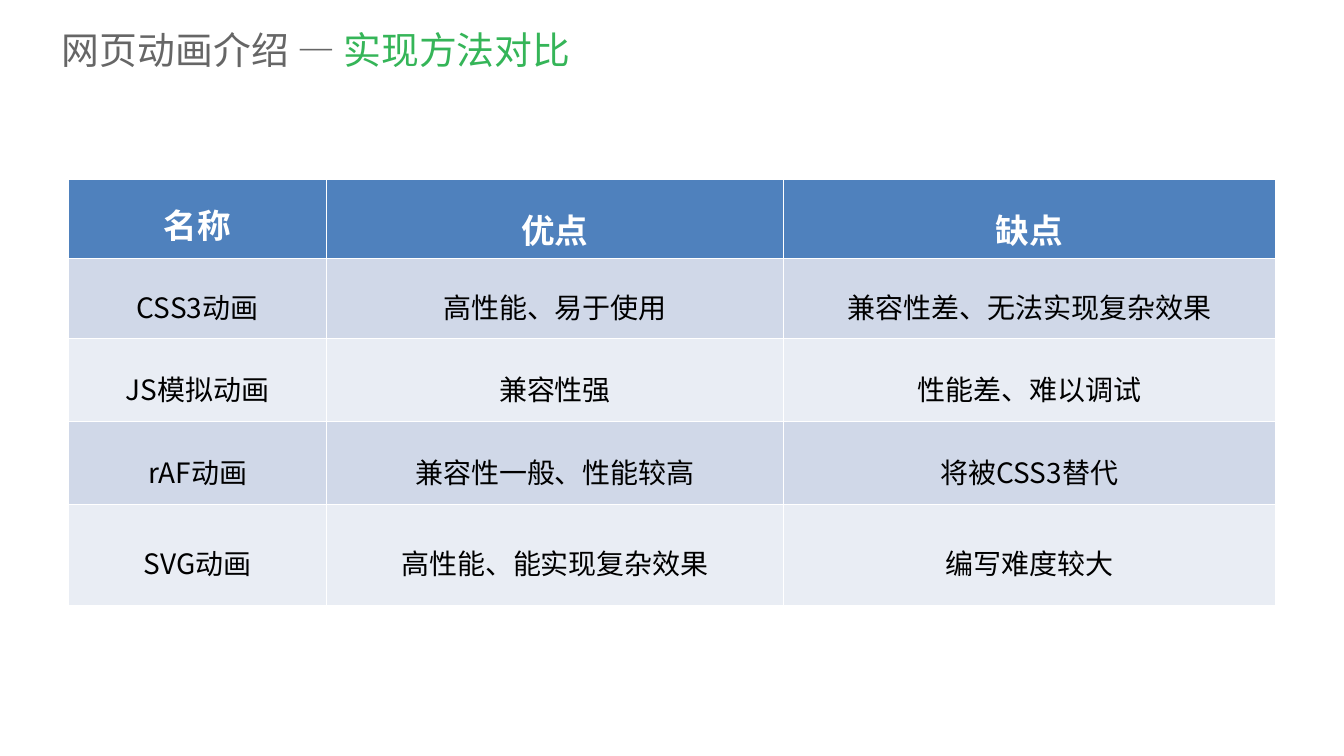
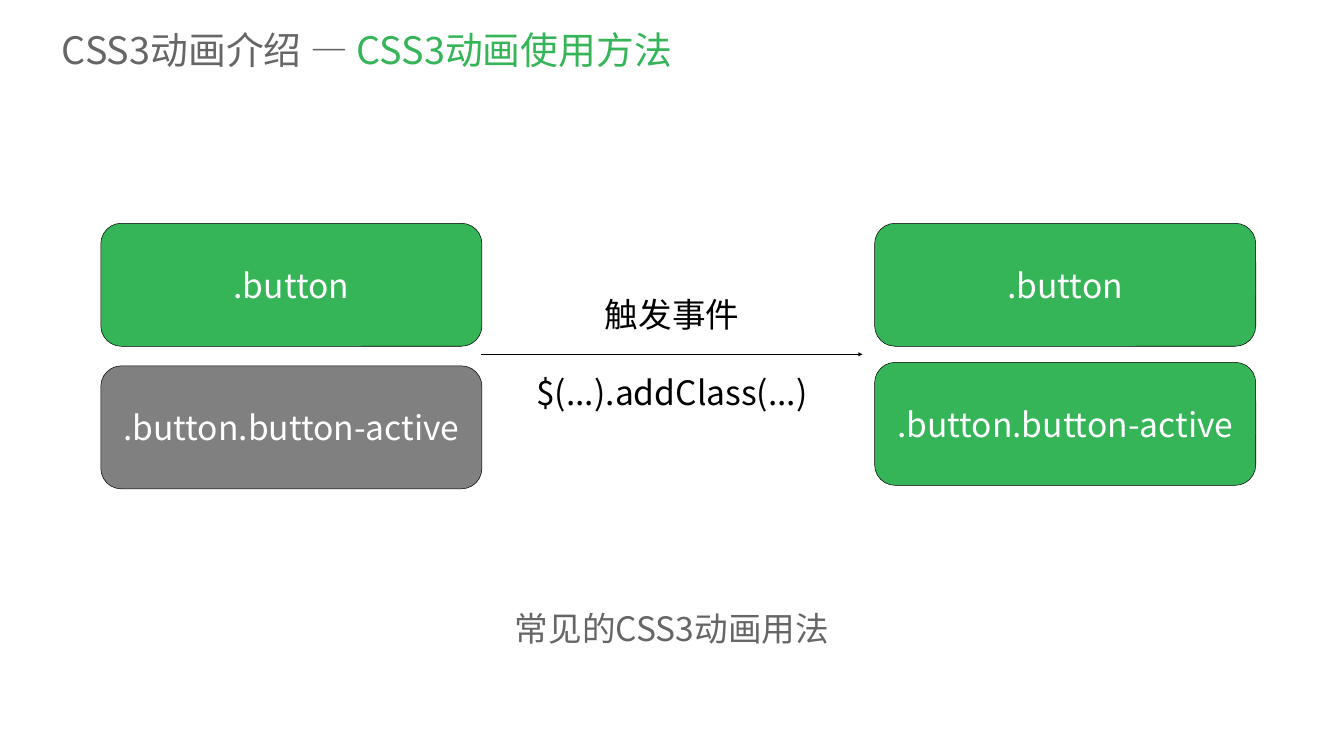
import pptx
import pptx.dml.color
import pptx.enum.shapes
import pptx.enum.text
import pptx.oxml
import pptx.oxml.ns
import pptx.util

Pt = pptx.util.Pt
CENTER = pptx.enum.text.PP_ALIGN.CENTER
MIDDLE = pptx.enum.text.MSO_ANCHOR.MIDDLE
FONT = "Noto Sans CJK SC"
GREEN, GRAY, TEXT_GRAY = "35B558", "808080", "666666"
BLACK, WHITE = "000000", "FFFFFF"
HEADER_BLUE, BANDS = "4F81BD", ("D0D8E8", "E9EDF4")
SLIDE_WIDTH, SLIDE_HEIGHT = 1919.52, 1080
BUTTON_WIDTH, BUTTON_HEIGHT = 544.3, 175.7

METHODS = [
    ("名称", "优点", "缺点"),
    ("CSS3动画", "高性能、易于使用", "兼容性差、无法实现复杂效果"),
    ("JS模拟动画", "兼容性强", "性能差、难以调试"),
    ("rAF动画", "兼容性一般、性能较高", "将被CSS3替代"),
    ("SVG动画", "高性能、能实现复杂效果", "编写难度较大"),
]
COLUMN_WIDTHS = (368.6, 652.3, 702.7)
ROW_HEIGHTS = (113, 113.8, 118.8, 118.8, 143.3)


def paint(color_format, color):
    """Give a fill, line or font colour its hex value."""
    color_format.rgb = pptx.dml.color.RGBColor.from_string(color)


def fill_solid(item, color):
    """Fill a shape or a cell with one colour."""
    item.fill.solid()
    paint(item.fill.fore_color, color)


def add_element(parent, tag, content="", attributes=""):
    """Append a drawing element to a parent and return it."""
    namespace = pptx.oxml.ns.nsdecls("a")
    element = pptx.oxml.parse_xml(f"<a:{tag} {namespace} {attributes}>{content}</a:{tag}>")
    parent.append(element)
    return element


def style_run(run, size, color, font=FONT, bold=False):
    """Set the size, colour and typefaces of a run."""
    run.font.size = Pt(size)
    run.font.bold = bold
    run.font.name = font
    paint(run.font.color, color)
    add_element(run.font._element, "ea", attributes=f'typeface="{font}"')


def write_centered(text_frame, text, size, color, font=FONT, bold=False):
    """Write one centred paragraph and return it."""
    text_frame.text = text
    paragraph = text_frame.paragraphs[0]
    paragraph.alignment = CENTER
    style_run(paragraph.runs[0], size, color, font, bold)
    return paragraph


def add_title(slide, topic, subject):
    """Add the title with a gray topic and a green subject."""
    title = slide.shapes.add_textbox(Pt(81.4), Pt(31), Pt(1810.8), Pt(79.2))
    title.text_frame.word_wrap = True
    title.text_frame.vertical_anchor = MIDDLE
    paragraph = title.text_frame.paragraphs[0]
    for text, color in ((f"{topic} — ", TEXT_GRAY), (subject, GREEN)):
        run = paragraph.add_run()
        run.text = text
        style_run(run, 54, color)


def set_cell_borders(cell, top, bottom):
    """Draw white borders, with the given top and bottom widths."""
    properties = cell._tc.get_or_add_tcPr()
    color = f'<a:solidFill><a:srgbClr val="{WHITE}"/></a:solidFill>'
    widths = {"lnL": 0.45, "lnR": 0.45, "lnT": top, "lnB": bottom}
    for position, (tag, width) in enumerate(widths.items()):
        border = add_element(properties, tag, color, f'w="{Pt(width)}"')
        properties.insert(position, border)


def add_comparison_table(slide):
    """Add the table that compares the animation methods."""
    frame = slide.shapes.add_table(
        len(METHODS), len(COLUMN_WIDTHS), Pt(97.9), Pt(256.3),
        Pt(sum(COLUMN_WIDTHS)), Pt(sum(ROW_HEIGHTS)))
    table = frame.table
    for column, width in zip(table.columns, COLUMN_WIDTHS):
        column.width = Pt(width)
    for row, height in zip(table.rows, ROW_HEIGHTS):
        row.height = Pt(height)
    for row_index, texts in enumerate(METHODS):
        header = row_index == 0
        for column_index, text in enumerate(texts):
            cell = table.cell(row_index, column_index)
            cell.vertical_anchor = MIDDLE
            fill_solid(cell, HEADER_BLUE if header else BANDS[(row_index - 1) % 2])
            set_cell_borders(cell, 1.47 if row_index == 1 else 0.45, 1.47 if header else 0.45)
            font = "Calibri" if header and column_index == 0 else FONT
            paragraph = write_centered(
                cell.text_frame, text, 48 if header else 40,
                WHITE if header else BLACK, font, header)
            paragraph.line_spacing = 1.4


def add_button(slide, left, top, text, color):
    """Add a rounded button with a thin black outline."""
    button = slide.shapes.add_shape(
        pptx.enum.shapes.MSO_SHAPE.ROUNDED_RECTANGLE,
        Pt(left), Pt(top), Pt(BUTTON_WIDTH), Pt(BUTTON_HEIGHT))
    button.shadow.inherit = False
    fill_solid(button, color)
    paint(button.line.color, BLACK)
    button.line.width = Pt(0.75)
    button.text_frame.word_wrap = False
    button.text_frame.vertical_anchor = MIDDLE
    write_centered(button.text_frame, text, 48, WHITE)


def add_label(slide, top, width, text, color=BLACK, font=FONT):
    """Add a label centred on the slide."""
    left = (SLIDE_WIDTH - width) / 2
    label = slide.shapes.add_textbox(Pt(left), Pt(top), Pt(width), Pt(64.8))
    label.text_frame.word_wrap = True
    write_centered(label.text_frame, text, 48, color, font)


def add_arrow(slide, start, end, y):
    """Add a horizontal arrow."""
    arrow = slide.shapes.add_connector(
        pptx.enum.shapes.MSO_CONNECTOR.STRAIGHT, Pt(start), Pt(y), Pt(end), Pt(y))
    paint(arrow.line.color, BLACK)
    arrow.line.width = Pt(0.75)
    add_element(arrow.line._get_or_add_ln(), "tailEnd", attributes='type="triangle"')
    add_element(arrow._element.spPr, "effectLst")


def build_comparison(slide):
    """Build the comparison of animation methods."""
    add_title(slide, "网页动画介绍", "实现方法对比")
    add_comparison_table(slide)


def build_usage(slide):
    """Build the diagram of a class added on an event."""
    add_title(slide, "CSS3动画介绍", "CSS3动画使用方法")
    for left, active_top, active_color in ((144, 522.7, GRAY), (1249.2, 517.7, GREEN)):
        add_button(slide, left, 319, ".button", GREEN)
        add_button(slide, left, active_top, ".button.button-active", active_color)
    add_arrow(slide, 687.6, 1231.9, 506.2)
    add_label(slide, 416.2, 373.7, "触发事件", font="Arial")
    add_label(slide, 528.5, 419, "$(...).addClass(...)")
    add_label(slide, 864.7, 566.6, "常见的CSS3动画用法", TEXT_GRAY)


def main():
    """Build and save the presentation."""
    presentation = pptx.Presentation()
    presentation.slide_width = Pt(SLIDE_WIDTH)
    presentation.slide_height = Pt(SLIDE_HEIGHT)
    for build in (build_comparison, build_usage):
        build(presentation.slides.add_slide(presentation.slide_layouts[6]))
    presentation.save("out.pptx")


if __name__ == "__main__":
    main()
